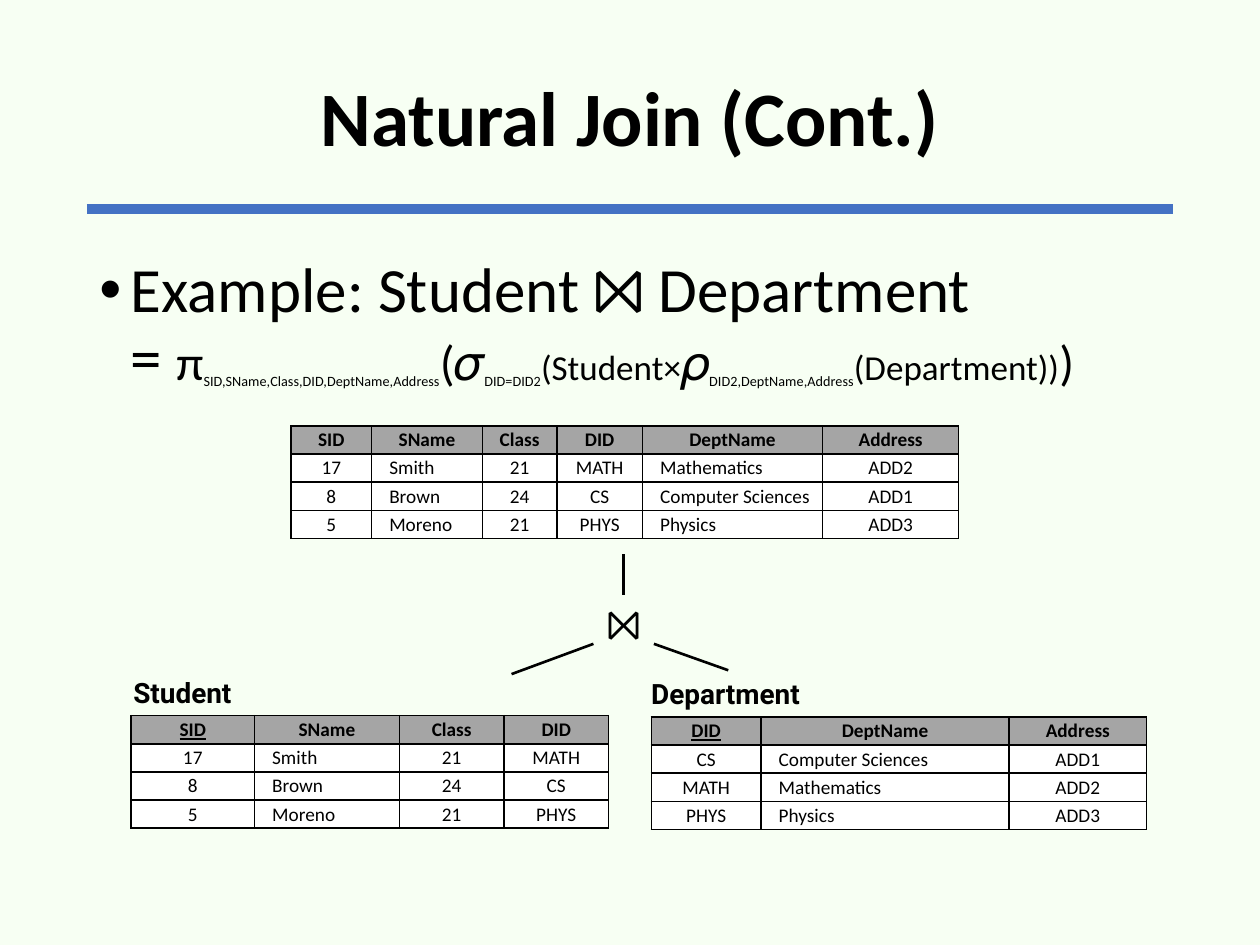
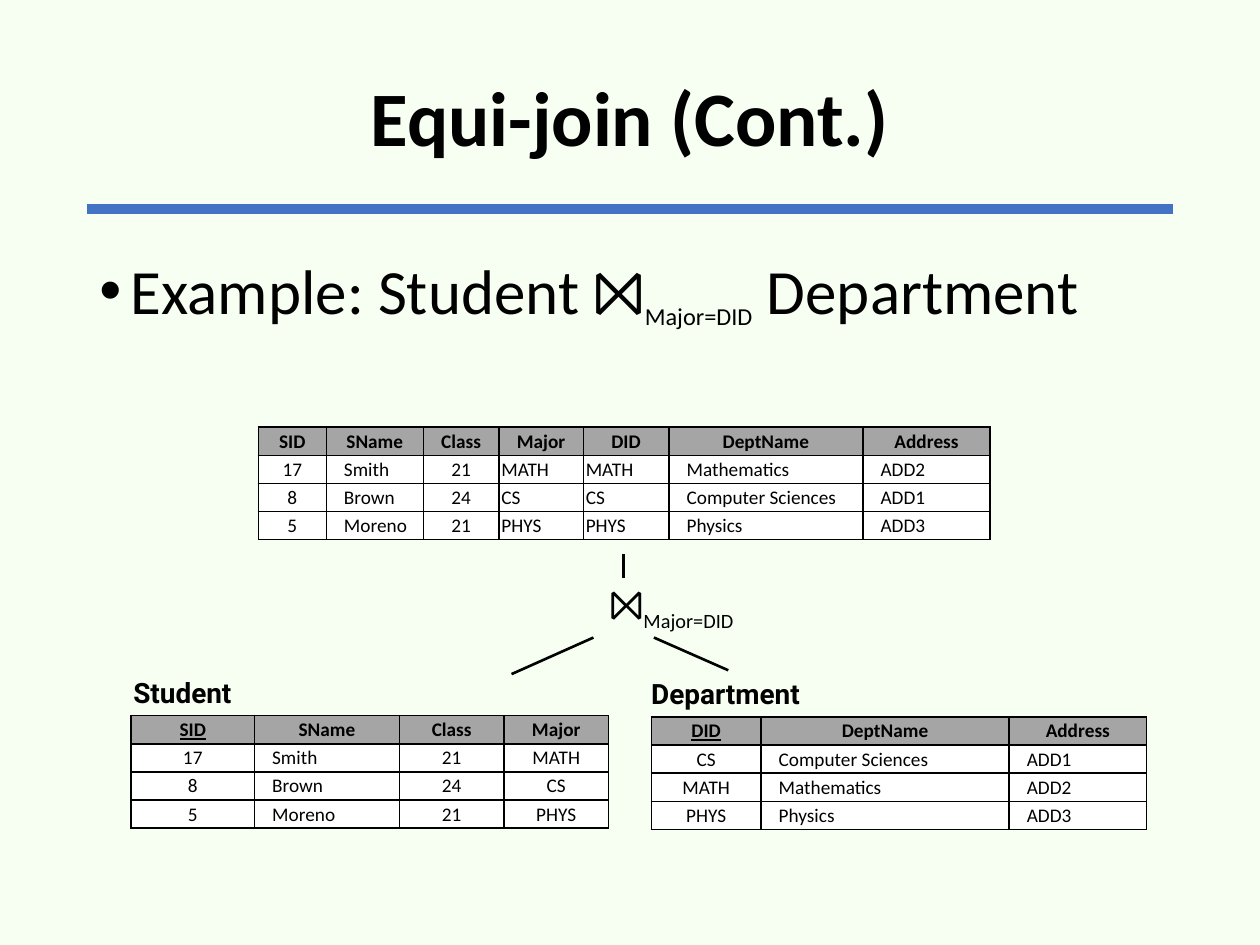
"""Builds two slides on natural join and equi-join."""
from lxml.etree import SubElement
from pptx import Presentation
from pptx.dml.color import RGBColor
from pptx.enum.shapes import MSO_CONNECTOR, MSO_SHAPE
from pptx.enum.text import MSO_ANCHOR, PP_ALIGN
from pptx.oxml.ns import qn
from pptx.util import Inches, Pt

BACK, BLUE, BLACK, GREY, WHITE = "F7FFF3", "4472C4", "000000", "A5A5A5", "FFFFFF"
SUB = -25000
PUPILS = [("17", "Smith", "21", "MATH"), ("8", "Brown", "24", "CS"), ("5", "Moreno", "21", "PHYS")]
DEPTS = [("CS", "Computer Sciences", "ADD1"), ("MATH", "Mathematics", "ADD2"), ("PHYS", "Physics", "ADD3")]
LOOKUP = {row[0]: row for row in DEPTS}

SLIDES = [
    {
        "title": "Natural Join (Cont.)",
        "body": [
            ("Example: Student ⨝ Department\n= ", 36), ("π", 28),
            ("SID,SName,Class,DID,DeptName,Address", 14, SUB), ("(𝜎", 28),
            ("DID=DID2", 14, SUB), ("(Student×", 20), ("𝜌", 28),
            ("DID2,DeptName,Address", 14, SUB), ("(Department))", 20), (")", 28),
        ],
        "key": "DID",
        "dept": "cic",
        "join": {
            "at": (2.31, 3.38), "cols": (0.64, 0.88, 0.59, 0.68, 1.43, 1.08), "align": "ciccic",
            "head": ("SID", "SName", "Class", "DID", "DeptName", "Address"),
            "rows": [row + LOOKUP[row[3]][1:] for row in PUPILS],
        },
        "node": (4.61, 4.72, 0.68, 0.45),
        "sign": [("⨝", 24)],
        "stem": 4.72,
        "fork": 5.11,
    },
    {
        "title": "Equi-join (Cont.)",
        "body": [("Example: Student ⨝", 36), ("Major=DID", 24, SUB), (" Department", 36)],
        "key": "Major",
        "dept": "cii",
        "join": {
            "at": (2.05, 3.39), "cols": (0.54, 0.77, 0.6, 0.67, 0.68, 1.54, 1.01), "align": "cicllii",
            "head": ("SID", "SName", "Class", "Major", "DID", "DeptName", "Address"),
            "rows": [row + LOOKUP[row[3]] for row in PUPILS],
        },
        "node": (4.99, 4.43, 0.68, 0.74),
        "sign": [("⨝", 24), ("Major=DID", 20, SUB)],
        "stem": 4.59,
        "fork": 5.06,
    },
]


def tint(code):
    """Turn a hex string into a colour."""
    return RGBColor.from_string(code)


def write(frame, runs, font="Calibri", bold=False, line=False, align="l", anchor=MSO_ANCHOR.TOP,
          wrap=True, bullet=False, space=None):
    """Fill a text frame with (text, size, baseline) runs."""
    frame.word_wrap = wrap
    frame.vertical_anchor = anchor
    para = frame.paragraphs[0]
    para.alignment = PP_ALIGN.CENTER if align == "c" else PP_ALIGN.LEFT
    para.line_spacing = space
    props = para._p.get_or_add_pPr()
    if align == "i":
        props.set("marL", str(Inches(0.12)))
    if bullet:
        para.space_before = Pt(10)
        props.set("marL", str(Inches(0.25)))
        props.set("indent", str(Inches(-0.25)))
        SubElement(props, qn("a:buFont")).set("typeface", "Arial")
        SubElement(props, qn("a:buChar")).set("char", "•")
    for text, size, *base in runs:
        for step, part in enumerate(text.split("\n")):
            if step:
                para.add_line_break()
            run = para.add_run()
            run.text = part
            face = run.font
            face.name, face.size, face.bold, face.underline = font, Pt(size), bold, line
            face.color.rgb = tint(BLACK)
            if base:
                run._r.get_or_add_rPr().set("baseline", str(base[0]))


def label(slide, box, runs, **style):
    """Add a text box."""
    write(slide.shapes.add_textbox(*map(Inches, box)).text_frame, runs, **style)


def rule(slide, start, end, color=BLACK, width=1.5):
    """Draw a straight line without a shadow."""
    link = slide.shapes.add_connector(MSO_CONNECTOR.STRAIGHT, *map(Inches, start + end))
    link.line.color.rgb = tint(color)
    link.line.width = Pt(width)
    SubElement(link._element.spPr, qn("a:effectLst"))
    return link


def edge(cell):
    """Give a cell thin black borders."""
    props = cell._tc.get_or_add_tcPr()
    for side in ("lnL", "lnR", "lnT", "lnB"):
        line = SubElement(props, qn("a:" + side), w=str(Pt(1)))
        fill = SubElement(line, qn("a:solidFill"))
        SubElement(fill, qn("a:srgbClr"), val=BLACK)


def grid(slide, at, cols, align, head, rows, keyed=False):
    """Add a table with a grey head row."""
    lines = [head, *rows]
    box = (*at, sum(cols), 0.89)
    table = slide.shapes.add_table(len(lines), len(cols), *map(Inches, box)).table
    table.horz_banding = False
    for col, width in zip(table.columns, cols):
        col.width = Inches(width)
    for r, line in enumerate(lines):
        table.rows[r].height = Inches(0.22)
        for c, text in enumerate(line):
            cell = table.cell(r, c)
            cell.margin_left = cell.margin_right = Inches(0.02)
            cell.margin_top = cell.margin_bottom = Inches(0.02)
            top = r == 0
            write(cell.text_frame, [(text, 11)], bold=top, line=top and keyed and c == 0,
                  align="c" if top else align[c])
            edge(cell)
            cell.fill.solid()
            cell.fill.fore_color.rgb = tint(GREY if top else WHITE)


def tree(slide, data):
    """Draw the join sign and its three branches."""
    node = slide.shapes.add_shape(MSO_SHAPE.OVAL, *map(Inches, data["node"]))
    node.shadow.inherit = False
    node.fill.background()
    node.line.fill.background()
    write(node.text_frame, data["sign"], align="c", anchor=MSO_ANCHOR.MIDDLE, wrap=False)
    stem = rule(slide, (4.95, 4.4), (4.95, data["stem"]))
    if data["stem"] == data["node"][1]:
        stem.end_connect(node, 0)
    rule(slide, (4.71, data["fork"]), (4.06, 5.35))
    rule(slide, (5.19, data["fork"]), (5.78, 5.32))


def build(slide, data):
    """Lay out one slide."""
    rule(slide, (0.69, 1.66), (9.31, 1.66), BLUE, 6)
    label(slide, (0.69, 0.24, 8.62, 1.45), [(data["title"], 44)], bold=True, align="c",
          anchor=MSO_ANCHOR.MIDDLE, space=0.9)
    label(slide, (0.69, 2, 8.62, 4.76), data["body"], bullet=True, space=0.9)
    grid(slide, (1.04, 5.68), (0.98, 1.15, 0.83, 0.83), "cicc",
         ("SID", "SName", "Class", data["key"]), PUPILS, keyed=True)
    label(slide, (0.96, 5.31, 0.99, 0.37), [("Student", 16)], font="Roboto", bold=True, wrap=False)
    grid(slide, (5.17, 5.69), (0.87, 1.97, 1.09), data["dept"],
         ("DID", "DeptName", "Address"), DEPTS, keyed=True)
    label(slide, (5.07, 5.32, 1.43, 0.37), [("Department", 16)], font="Roboto", bold=True, wrap=False)
    grid(slide, **data["join"])
    tree(slide, data)


def main():
    """Build and save the deck."""
    deck = Presentation()
    deck.slide_width, deck.slide_height = Inches(10), Inches(7.5)
    fill = deck.slide_master.background.fill
    fill.solid()
    fill.fore_color.rgb = tint(BACK)
    for data in SLIDES:
        build(deck.slides.add_slide(deck.slide_layouts[6]), data)
    deck.save("out.pptx")


if __name__ == "__main__":
    main()
